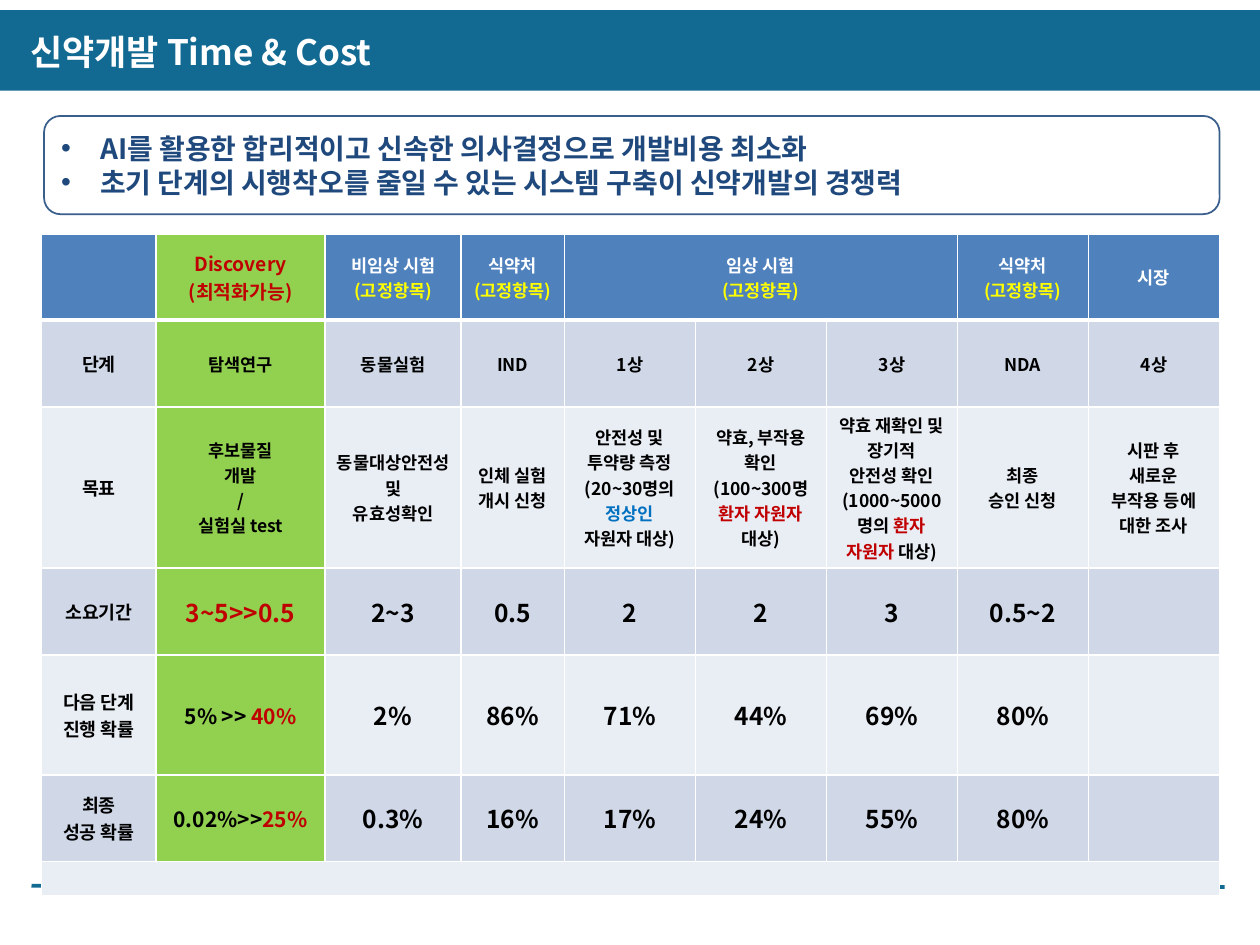
from lxml import etree
from pptx import Presentation
from pptx import util as u
from pptx.dml.color import RGBColor
from pptx.enum import shapes, text
from pptx.oxml import ns

Inches = u.Inches
FONT = "Noto Sans CJK KR"
COLORS = {
    "teal": "126A93", "white": "FFFFFF", "black": "000000", "header": "4F81BD",
    "green": "92D050", "dark_band": "D0D8E8", "light_band": "E9EDF4",
    "red": "C00000", "yellow": "FFFF00", "blue": "0070C0",
    "navy": "1F497D", "outline": "3A5F8C",
}
COLUMN_WIDTHS = [0.91, 1.34, 1.08, 0.82] + [1.04] * 5
ROW_HEIGHTS = [0.55, 0.69, 1.15, 0.69, 0.95, 0.69, 0.27]
BODY_SIZES = {1: 10, 2: 10, 3: 14, 4: 14, 5: 14}
FIXED = [("(고정항목)", "yellow")]
STAGES = [
    ["", "Discovery\n(최적화가능)", ["비임상 시험", FIXED], ["식약처", FIXED],
     ["임상 시험", FIXED], "", "", ["식약처", FIXED], "시장"],
    ["단계", "탐색연구", "동물실험", "IND", "1상", "2상", "3상", "NDA", "4상"],
    ["목표", "후보물질\n개발\n/\n실험실 test", "동물대상안전성 및\n유효성확인",
     "인체 실험\n개시 신청",
     ["안전성 및", "투약량 측정", [("(20~30명의 ", "black"), ("정상인", "blue")],
      "자원자 대상)"],
     ["약효, 부작용 확인",
      [("(100~300명 ", "black"), ("환자 자원자 ", "red"), ("대상)", "black")]],
     ["약효 재확인 및 장기적", "안전성 확인",
      [("(1000~5000명의 ", "black"), ("환자", "red")],
      [("자원자 ", "red"), ("대상)", "black")]],
     "최종\n승인 신청", "시판 후\n새로운\n부작용 등에 대한 조사"],
    ["소요기간", [[("3~5>>0.5", "red")]], "2~3", "0.5", "2", "2", "3", "0.5~2", ""],
    ["다음 단계\n진행 확률", [[("5% >> ", "black"), ("40%", "red")]],
     "2%", "86%", "71%", "44%", "69%", "80%", ""],
    ["최종\n성공 확률", [[("0.02%>>", "black"), ("25%", "red")]],
     "0.3%", "16%", "17%", "24%", "55%", "80%", ""],
    [""] * 9,
]


def rgb(color):
    return RGBColor.from_string(COLORS[color])


def apply(target, values):
    for name, value in values.items():
        setattr(target, name, value)


def add_run(paragraph, words, size, color):
    run = paragraph.add_run()
    run.text = words
    apply(run.font, {"size": u.Pt(size), "bold": True, "name": FONT})
    run.font.color.rgb = rgb(color)
    etree.SubElement(run.font._element, ns.qn("a:ea"), typeface=FONT)


def write_lines(frame, lines, size, color, align):
    for index, line in enumerate(lines):
        paragraph = frame.paragraphs[0] if index == 0 else frame.add_paragraph()
        paragraph.alignment = align
        runs = [(line, color)] if isinstance(line, str) else line
        for words, run_color in runs:
            add_run(paragraph, words, size, run_color)


def add_bullet(paragraph):
    properties = paragraph._p.get_or_add_pPr()
    apply_indent = {"marL": Inches(0.31), "indent": Inches(-0.31)}
    for name, value in apply_indent.items():
        properties.set(name, str(value))
    etree.SubElement(properties, ns.qn("a:buFont"), typeface="Arial")
    etree.SubElement(properties, ns.qn("a:buChar"), char="•")


def set_borders(cell, widths):
    properties = cell._tc.get_or_add_tcPr()
    for index, (side, width) in enumerate(widths.items()):
        border = etree.Element(ns.qn("a:ln" + side), w=str(u.Pt(width)))
        fill = etree.SubElement(border, ns.qn("a:solidFill"))
        etree.SubElement(fill, ns.qn("a:srgbClr"), val=COLORS["white"])
        properties.insert(index, border)


def cell_style(row, column):
    if row == 0:
        return (11, "red", "green") if column == 1 else (10, "white", "header")
    band = "dark_band" if row % 2 else "light_band"
    size = 10.5 if column == 0 else BODY_SIZES.get(row, 10)
    if column == 1 and row < 6:
        return 12 if row in (4, 5) else size, "black", "green"
    return size, "black", band


def fill_cell(cell, content, row, column):
    size, color, background = cell_style(row, column)
    apply(cell, {
        "vertical_anchor": text.MSO_ANCHOR.MIDDLE,
        "margin_left": Inches(0.09), "margin_right": Inches(0.09),
        "margin_top": Inches(0.04), "margin_bottom": Inches(0.04),
    })
    cell.fill.solid()
    cell.fill.fore_color.rgb = rgb(background)
    set_borders(cell, {"L": 1, "R": 1, "T": 3 if row == 1 else 1,
                       "B": 3 if row == 0 else 1})
    if content:
        lines = content.split("\n") if isinstance(content, str) else content
        write_lines(cell.text_frame, lines, size, color, text.PP_ALIGN.CENTER)
    else:
        etree.SubElement(cell.text_frame.paragraphs[0]._p,
                         ns.qn("a:endParaRPr"), sz="1000")


def add_stage_table(slide):
    table = slide.shapes.add_table(
        len(ROW_HEIGHTS), len(COLUMN_WIDTHS), Inches(0.33), Inches(1.86),
        Inches(9.33), Inches(4.99)).table
    apply(table, {"first_row": False, "horz_banding": False})
    for column, width in zip(table.columns, COLUMN_WIDTHS):
        column.width = Inches(width)
    for row, height in zip(table.rows, ROW_HEIGHTS):
        row.height = Inches(height)
    for row, contents in enumerate(STAGES):
        for column, content in enumerate(contents):
            fill_cell(table.cell(row, column), content, row, column)
    table.cell(0, 4).merge(table.cell(0, 6))
    table.cell(6, 0).merge(table.cell(6, 8))


def add_footer_rule(slide):
    rule = slide.shapes.add_connector(
        shapes.MSO_CONNECTOR.STRAIGHT,
        Inches(0.25), Inches(7.03), Inches(9.72), Inches(7.04))
    rule.line.color.rgb = rgb("teal")
    rule.line.width = u.Pt(2.25)
    etree.SubElement(rule._element.spPr, ns.qn("a:effectLst"))


def add_title_band(slide):
    band = slide.shapes.add_shape(
        shapes.MSO_SHAPE.RECTANGLE,
        Inches(-0.02), Inches(0.08), Inches(10.04), Inches(0.64))
    band.shadow.inherit = False
    band.fill.solid()
    band.fill.fore_color.rgb = rgb("teal")
    band.line.fill.background()


def add_title(slide):
    frame = slide.shapes.add_textbox(
        Inches(0.14), Inches(0.19), Inches(3.1), Inches(0.44)).text_frame
    apply(frame, {"word_wrap": False, "vertical_anchor": text.MSO_ANCHOR.MIDDLE,
                  "auto_size": text.MSO_AUTO_SIZE.SHAPE_TO_FIT_TEXT})
    write_lines(frame, ["신약개발 Time & Cost"], 20, "white", text.PP_ALIGN.LEFT)


def add_key_messages(slide):
    panel = slide.shapes.add_shape(
        shapes.MSO_SHAPE.ROUNDED_RECTANGLE,
        Inches(0.35), Inches(0.92), Inches(9.33), Inches(0.78))
    panel.shadow.inherit = False
    panel.fill.background()
    panel.line.color.rgb = rgb("outline")
    panel.line.width = u.Pt(1)
    frame = panel.text_frame
    apply(frame, {"word_wrap": True, "vertical_anchor": text.MSO_ANCHOR.MIDDLE})
    messages = ["AI를 활용한 합리적이고 신속한 의사결정으로 개발비용 최소화",
                "초기 단계의 시행착오를 줄일 수 있는 시스템 구축이 신약개발의 경쟁력"]
    write_lines(frame, messages, 16, "navy", text.PP_ALIGN.LEFT)
    for paragraph in frame.paragraphs:
        add_bullet(paragraph)


def main():
    deck = Presentation()
    apply(deck, {"slide_width": Inches(10), "slide_height": Inches(7.5)})
    slide = deck.slides.add_slide(deck.slide_layouts[6])
    for add_part in (add_footer_rule, add_title_band, add_stage_table,
                     add_title, add_key_messages):
        add_part(slide)
    deck.save("out.pptx")


if __name__ == "__main__":
    main()
